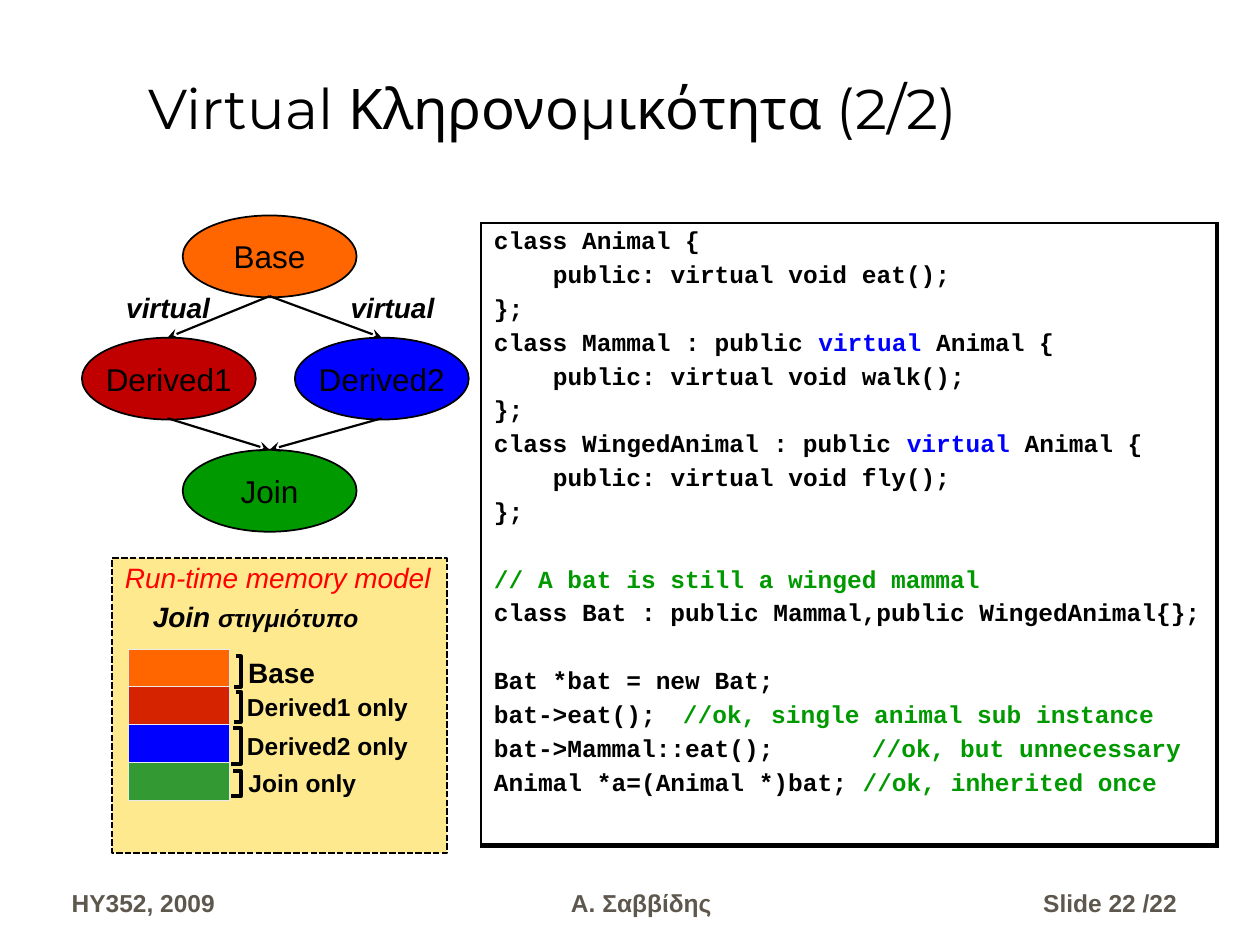
from dataclasses import dataclass

from lxml.etree import SubElement
from pptx import Presentation
from pptx.dml.color import RGBColor
from pptx.enum.dml import MSO_LINE_DASH_STYLE as Dash
from pptx.enum.shapes import MSO_CONNECTOR as Connector, MSO_SHAPE as Preset
from pptx.enum.text import MSO_ANCHOR as Anchor, PP_ALIGN as Align
from pptx.oxml.ns import qn
from pptx.util import Inches, Pt


@dataclass(frozen=True)
class Theme:
    black: str = "000000"
    white: str = "FFFFFF"
    orange: str = "FF6600"
    crimson: str = "C00000"
    red: str = "D52300"
    blue: str = "0000FF"
    green: str = "009900"
    leaf: str = "339933"
    panel: str = "FFE98F"
    heading: str = "FF0000"
    footer: str = "5E574E"
    grid: str = "EAEAEA"
    title_font: str = "Montserrat"
    body_font: str = "Arial"
    code_font: str = "Courier New"
    title_size: int = 32
    node_size: int = 18
    label_size: int = 16
    small_size: int = 14


THEME = Theme()
CODE_SPACING = 3.5
CODE_LINE = 15.86
CODE_CHAR = 0.117

# Each line: indent in characters, blank lines above, then (text, colour) runs.
CODE = [
    (0, 0, [("class Animal {", THEME.black)]),
    (4, 0, [("public: virtual void eat();", THEME.black)]),
    (0, 0, [("};", THEME.black)]),
    (0, 0, [("class Mammal : public ", THEME.black), ("virtual", THEME.blue),
            (" Animal {", THEME.black)]),
    (4, 0, [("public: virtual void walk();", THEME.black)]),
    (0, 0, [("};", THEME.black)]),
    (0, 0, [("class WingedAnimal : public ", THEME.black), ("virtual ", THEME.blue),
            ("Animal {", THEME.black)]),
    (4, 0, [("public: virtual void fly();", THEME.black)]),
    (0, 0, [("};", THEME.black)]),
    (0, 1, [("// A bat is still a winged mammal", THEME.green)]),
    (0, 0, [("class Bat : public Mammal,public WingedAnimal{};", THEME.black)]),
    (0, 1, [("Bat *bat = new Bat;", THEME.black)]),
    (0, 0, [("bat->eat();\t", THEME.black),
            ("//ok, single animal sub instance", THEME.green)]),
    (0, 0, [("bat->Mammal::eat();\t\t", THEME.black),
            ("//ok, but unnecessary", THEME.green)]),
    (0, 0, [("Animal *a=(Animal *)bat; ", THEME.black),
            ("//ok, inherited once", THEME.green)]),
]
COMMENT_COLUMNS = (15, 25)


def color(value):
    return RGBColor.from_string(value)


def add_run(paragraph, text, size, fill=THEME.black, **formats):
    run = paragraph.add_run()
    run.text = text
    run.font.color.rgb = color(fill)
    settings = {"name": THEME.body_font, "size": Pt(size), **formats}
    for name, value in settings.items():
        setattr(run.font, name, value)


def add_text(slide, box, runs, align=Align.CENTER, anchor=Anchor.TOP, wrap=True,
             before=0):
    """Add a text box; each run is (text, size, format values)."""
    frame = slide.shapes.add_textbox(*map(Inches, box)).text_frame
    frame.word_wrap = wrap
    frame.vertical_anchor = anchor
    paragraph = frame.paragraphs[0]
    paragraph.alignment = align
    paragraph.space_before = Pt(before)
    for text, size, formats in runs:
        add_run(paragraph, text, size, **formats)


def style_shape(shape, fill, width):
    """Set fill (None for no fill) and a black outline, without shadow."""
    shape.shadow.inherit = False
    if fill:
        shape.fill.solid()
        shape.fill.fore_color.rgb = color(fill)
    else:
        shape.fill.background()
    shape.line.color.rgb = color(THEME.black)
    shape.line.width = Pt(width)


def add_class_node(slide, name, left, top, fill):
    node = slide.shapes.add_shape(
        Preset.OVAL, *map(Inches, (left, top, 1.38, 0.65)))
    style_shape(node, fill, 1)
    frame = node.text_frame
    frame.word_wrap = False
    frame.vertical_anchor = Anchor.MIDDLE
    frame.paragraphs[0].alignment = Align.CENTER
    add_run(frame.paragraphs[0], name, THEME.node_size)


def add_arrow(slide, start, end):
    arrow = slide.shapes.add_connector(
        Connector.STRAIGHT, *map(Inches, (*start, *end)))
    arrow.line.color.rgb = color(THEME.black)
    arrow.line.width = Pt(1.25)
    SubElement(arrow.line._get_or_add_ln(), qn("a:tailEnd"), type="stealth")
    SubElement(arrow._element.spPr, qn("a:effectLst"))


def add_bracket(slide, top, height, upper_left, lower_left):
    right, bottom = 1.91, top + height
    builder = slide.shapes.build_freeform(Inches(upper_left), Inches(top))
    corners = [(right, top), (right, bottom), (lower_left, bottom)]
    builder.add_line_segments(
        [(Inches(x), Inches(y)) for x, y in corners], close=False)
    style_shape(builder.convert_to_shape(), None, 2.25)


def add_plain_table(slide, box, rows):
    table = slide.shapes.add_table(rows, 1, *map(Inches, box)).table
    table.first_row = table.horz_banding = False
    return table


def style_cell(cell, fill, borders):
    """Set the fill and the borders, given as {side: (colour, points)}."""
    properties = cell._tc.get_or_add_tcPr()
    for side, (line_color, width) in borders.items():
        line = SubElement(properties, qn(f"a:ln{side}"), w=str(Pt(width)))
        solid = SubElement(line, qn("a:solidFill"))
        SubElement(solid, qn("a:srgbClr"), val=line_color)
    cell.fill.solid()
    cell.fill.fore_color.rgb = color(fill)


def add_code(slide):
    cell = add_plain_table(slide, (3.82, 1.77, 5.84, 4.94), 1).cell(0, 0)
    thin, thick = (THEME.black, 1.08), (THEME.black, 3)
    style_cell(cell, THEME.white, {"L": thin, "R": thick, "T": thin, "B": thick})
    frame = cell.text_frame
    for index, (indent, blanks, runs) in enumerate(CODE):
        paragraph = frame.add_paragraph() if index else frame.paragraphs[0]
        paragraph.space_before = Pt(
            CODE_SPACING + blanks * (CODE_SPACING + CODE_LINE))
        properties = paragraph._p.get_or_add_pPr()
        properties.set("marL", str(Inches(indent * CODE_CHAR)))
        properties.set("indent", "0")
        tabs = SubElement(properties, qn("a:tabLst"))
        for column in COMMENT_COLUMNS:
            SubElement(tabs, qn("a:tab"), pos=str(Inches(column * CODE_CHAR)),
                       algn="l")
        for text, fill in runs:
            add_run(paragraph, text, THEME.small_size, fill,
                    name=THEME.code_font, bold=True)


def add_memory_blocks(slide):
    fills = (THEME.orange, THEME.red, THEME.blue, THEME.leaf)
    table = add_plain_table(slide, (1.02, 5.15, 0.8, 1.2), len(fills))
    for row, fill in enumerate(fills):
        cell = table.cell(row, 0)
        style_cell(cell, fill, dict.fromkeys("LRTB", (THEME.grid, 0.45)))
        cell.margin_top = cell.margin_bottom = 0
        SubElement(cell.text_frame.paragraphs[0]._p, qn("a:endParaRPr"), sz="1000")


def add_memory_model(slide):
    panel = slide.shapes.add_shape(
        Preset.RECTANGLE, *map(Inches, (0.89, 4.43, 2.66, 2.34)))
    style_shape(panel, THEME.panel, 1.25)
    panel.line.dash_style = Dash.SQUARE_DOT
    add_memory_blocks(slide)
    strong = {"bold": True, "italic": True}
    add_text(slide, (0.86, 4.4, 2.69, 0.37), [
        ("Run-time memory model", THEME.label_size,
         {"fill": THEME.heading, "italic": True})])
    add_text(slide, (1.11, 4.71, 1.84, 0.37), [
        ("Join ", THEME.label_size, strong),
        ("στιγμιότυπο", THEME.small_size, strong)], wrap=False)
    for name, box, size in [
            ("Base", (1.87, 5.15, 0.73, 0.37), THEME.label_size),
            ("Derived1 only", (1.67, 5.44, 1.86, 0.33), THEME.small_size),
            ("Derived2 only", (1.67, 5.75, 1.86, 0.33), THEME.small_size),
            ("Join only", (1.47, 6.05, 1.86, 0.33), THEME.small_size)]:
        add_text(slide, box, [(name, size, {"bold": True})])
    for bracket in [(5.21, 0.24, 1.87, 1.86), (5.49, 0.24, 1.87, 1.86),
                    (5.78, 0.28, 1.85, 1.83), (6.12, 0.2, 1.85, 1.83)]:
        add_bracket(slide, *bracket)


def add_class_diagram(slide):
    for node in [("Base", 1.45, 1.71, THEME.orange),
                 ("Derived1", 0.65, 2.68, THEME.crimson),
                 ("Derived2", 2.34, 2.68, THEME.blue),
                 ("Join", 1.45, 3.57, THEME.green)]:
        add_class_node(slide, *node)
    for middle, label_left in [(1.33, 0.9), (3.03, 2.68)]:
        add_arrow(slide, (2.14, 2.35), (middle, 2.68))
        add_arrow(slide, (middle, 3.32), (2.14, 3.57))
        add_text(slide, (label_left, 2.26, 0.87, 0.37), [
            ("virtual", THEME.label_size, {"bold": True, "italic": True})],
            wrap=False)


def add_footer(slide):
    for text, left, width, align in [("HY352, 2009", 0.47, 1.63, Align.LEFT),
                                     ("Α. Σαββίδης", 2.18, 5.82, Align.CENTER),
                                     ("Slide 22 /22", 8.07, 1.37, Align.RIGHT)]:
        add_text(slide, (left, 6.83, width, 0.5), [
            (text, THEME.small_size, {"fill": THEME.footer, "bold": True})],
            align, Anchor.BOTTOM, before=8.8)


def main():
    presentation = Presentation()
    presentation.slide_width, presentation.slide_height = Inches(10), Inches(7.5)
    slide = presentation.slides.add_slide(presentation.slide_layouts[6])
    add_text(slide, (1.08, 0.17, 8.92, 1), [
        ("Virtual Κληρονομικότητα (2/2)", THEME.title_size,
         {"name": THEME.title_font})], Align.LEFT, Anchor.BOTTOM)
    add_code(slide)
    add_memory_model(slide)
    add_class_diagram(slide)
    add_footer(slide)
    presentation.save("out.pptx")


if __name__ == "__main__":
    main()
